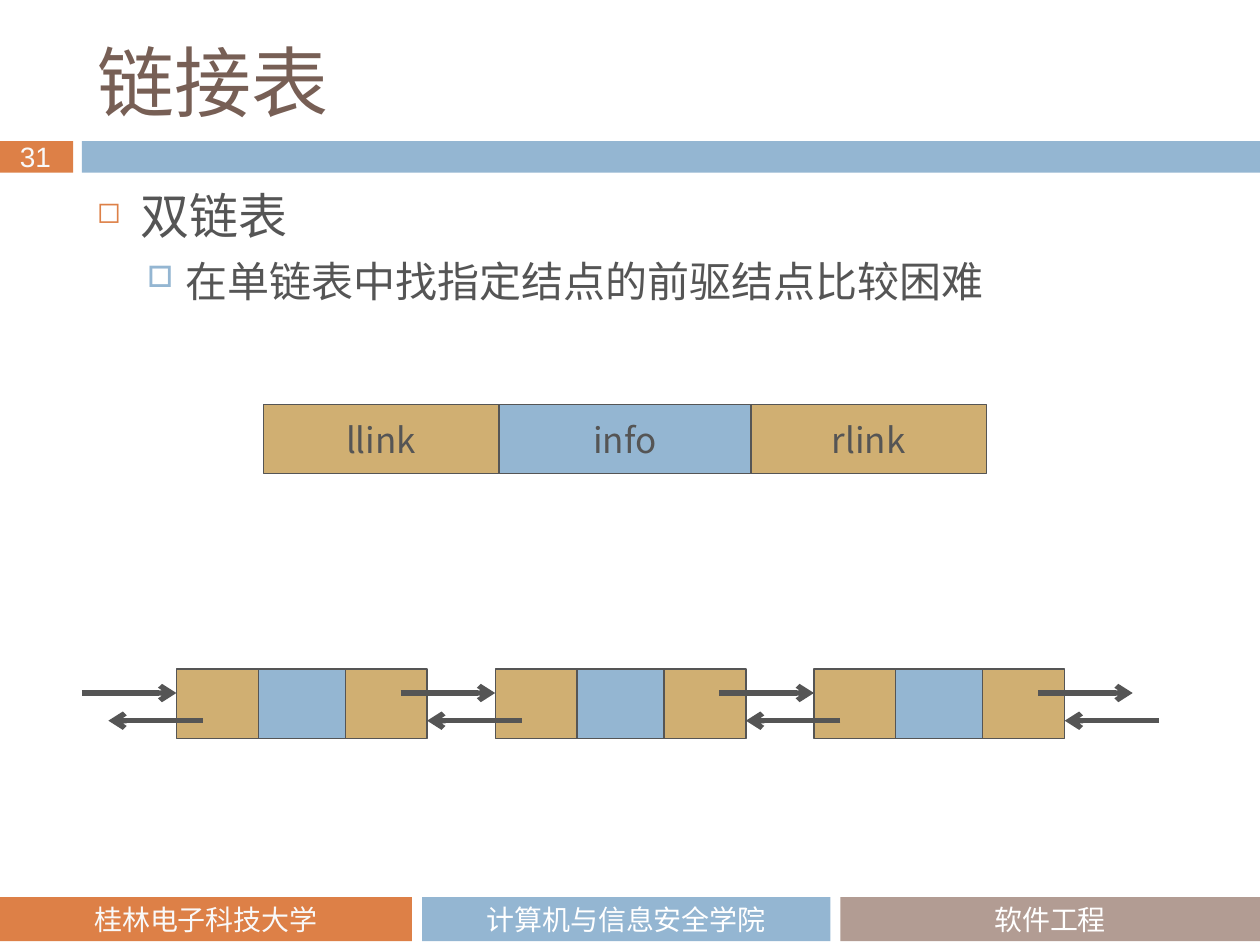
from dataclasses import dataclass

from lxml import etree
from pptx import Presentation
from pptx.dml.color import RGBColor
from pptx.enum.shapes import MSO_CONNECTOR, MSO_SHAPE
from pptx.enum.text import MSO_ANCHOR, MSO_AUTO_SIZE, PP_ALIGN
from pptx.oxml.ns import qn
from pptx.util import Inches, Pt

RECT, STRAIGHT = MSO_SHAPE.RECTANGLE, MSO_CONNECTOR.STRAIGHT
LEFT, CENTER = PP_ALIGN.LEFT, PP_ALIGN.CENTER
TOP, MIDDLE = MSO_ANCHOR.TOP, MSO_ANCHOR.MIDDLE


@dataclass(frozen=True)
class Theme:
    orange: str = "DD8047"
    blue: str = "94B6D2"
    taupe: str = "B29C93"
    gold: str = "D0AF72"
    brown: str = "775F55"
    ink: str = "555555"
    white: str = "FFFFFF"
    off_white: str = "F9F9F9"
    title_font: str = "Noto Sans CJK JP"
    body_font: str = "Noto Sans CJK SC"
    footer_font: str = "Calibri"
    number_font: str = "Arial"
    title_size: int = 44
    topic_size: int = 28
    point_size: int = 24
    field_size: int = 20
    footer_size: int = 16


T = Theme()


def write(p, text, *, size, font=T.body_font, color=T.ink, align=LEFT):
    """Add a run whose font also covers East Asian characters."""
    p.alignment = align
    r = p.add_run()
    r.text = text
    r.font.size = Pt(size)
    r.font.name = font
    r.font.color.rgb = RGBColor.from_string(color)
    etree.SubElement(r.font._element, qn("a:ea"), typeface=font)


def add_box(slide, x, y, w, h, fill, line=None):
    sp = slide.shapes.add_shape(RECT, Inches(x), Inches(y), Inches(w), Inches(h))
    sp.shadow.inherit = False
    sp.fill.solid()
    sp.fill.fore_color.rgb = RGBColor.from_string(fill)
    if line:
        sp.line.color.rgb = RGBColor.from_string(line)
        sp.line.width = Pt(0.75)
    else:
        sp.line.fill.background()
    sp.text_frame.vertical_anchor = MIDDLE
    return sp


def add_text_box(slide, x, y, w, h, wrap=True):
    tf = slide.shapes.add_textbox(Inches(x), Inches(y), Inches(w), Inches(h)).text_frame
    tf.word_wrap = wrap
    tf.vertical_anchor = TOP
    return tf


def add_arrow(slide, x1, x2, y):
    line = slide.shapes.add_connector(STRAIGHT, Inches(x1), Inches(y), Inches(x2), Inches(y))
    line.line.color.rgb = RGBColor.from_string(T.ink)
    line.line.width = Pt(3)
    etree.SubElement(line.line._get_or_add_ln(), qn("a:tailEnd"), type="arrow")
    etree.SubElement(line._element.spPr, qn("a:effectLst"))


def add_bullet(p, char, color, percent, indent, hanging):
    pPr = p._p.get_or_add_pPr()
    pPr.set("marL", str(Inches(indent)))
    pPr.set("indent", str(-Inches(hanging)))
    clr = etree.SubElement(pPr, qn("a:buClr"))
    etree.SubElement(clr, qn("a:srgbClr"), val=color)
    etree.SubElement(pPr, qn("a:buSzPct"), val=str(percent * 1000))
    etree.SubElement(pPr, qn("a:buChar"), char=char)
    p.line_spacing = Pt(30)


def add_frame(slide):
    """Draw the header band, the page number and the footer."""
    add_box(slide, 0, 1.12, 0.58, 0.25, T.orange)
    add_box(slide, 0.65, 1.12, 9.35, 0.25, T.blue)
    number = add_text_box(slide, 0.06, 1.06, 0.48, 0.37, wrap=False)
    write(number.paragraphs[0], "31", size=T.footer_size, font=T.number_font, color=T.off_white)

    footers = [
        (0, 3.27, T.orange, T.off_white, "桂林电子科技大学"),
        (3.35, 3.24, T.blue, T.white, "计算机与信息安全学院"),
        (6.67, 3.33, T.taupe, T.white, "软件工程"),
    ]
    for x, w, fill, color, text in footers:
        sp = add_box(slide, x, 7.12, w, 0.35, fill)
        write(sp.text_frame.paragraphs[0], text, size=T.footer_size,
              font=T.footer_font, color=color, align=CENTER)


def add_title(slide, text):
    title = slide.shapes.title
    title.left, title.top = Inches(0.67), Inches(0.25)
    title.width, title.height = Inches(8.92), Inches(0.78)
    tf = title.text_frame
    tf.auto_size = MSO_AUTO_SIZE.NONE
    tf.vertical_anchor = MIDDLE
    write(tf.paragraphs[0], text, size=T.title_size, font=T.title_font, color=T.brown)


def add_body(slide):
    tf = add_text_box(slide, 0.67, 1.47, 8.92, 1.15)
    topic = tf.paragraphs[0]
    add_bullet(topic, "◻", T.orange, 60, 0.35, 0.35)
    write(topic, "双链表", size=T.topic_size)
    point = tf.add_paragraph()
    point.level = 1
    add_bullet(point, "□", T.blue, 70, 0.7, 0.3)
    point.space_before = Pt(5.5)
    write(point, "在单链表中找指定结点的前驱结点比较困难", size=T.point_size)


def add_node(slide, x, y, link_w, info_w, labels=()):
    """Draw a left link, an info field and a right link side by side."""
    fields = [(link_w, T.gold), (info_w, T.blue), (link_w, T.gold)]
    for i, (w, fill) in enumerate(fields):
        sp = add_box(slide, x, y, w, 0.55, fill, T.ink)
        if labels:
            write(sp.text_frame.paragraphs[0], labels[i], size=T.field_size, align=CENTER)
        x += w


def add_linked_list(slide, nodes=3, pitch=2.53):
    for i in range(nodes):
        add_node(slide, 1.4 + i * pitch, 5.31, 0.65, 0.69)
    for i in range(nodes + 1):
        x = 0.65 + i * pitch
        add_arrow(slide, x, x + 0.75, 5.5)
        add_arrow(slide, x + 0.96, x + 0.21, 5.72)


def main():
    prs = Presentation()
    prs.slide_width, prs.slide_height = Inches(10), Inches(7.5)
    slide = prs.slides.add_slide(prs.slide_layouts.get_by_name("Title Only"))
    add_frame(slide)
    add_title(slide, "链接表")
    add_body(slide)
    add_node(slide, 2.09, 3.21, 1.87, 2, ("llink", "info", "rlink"))
    add_linked_list(slide)
    prs.save("out.pptx")


if __name__ == "__main__":
    main()
